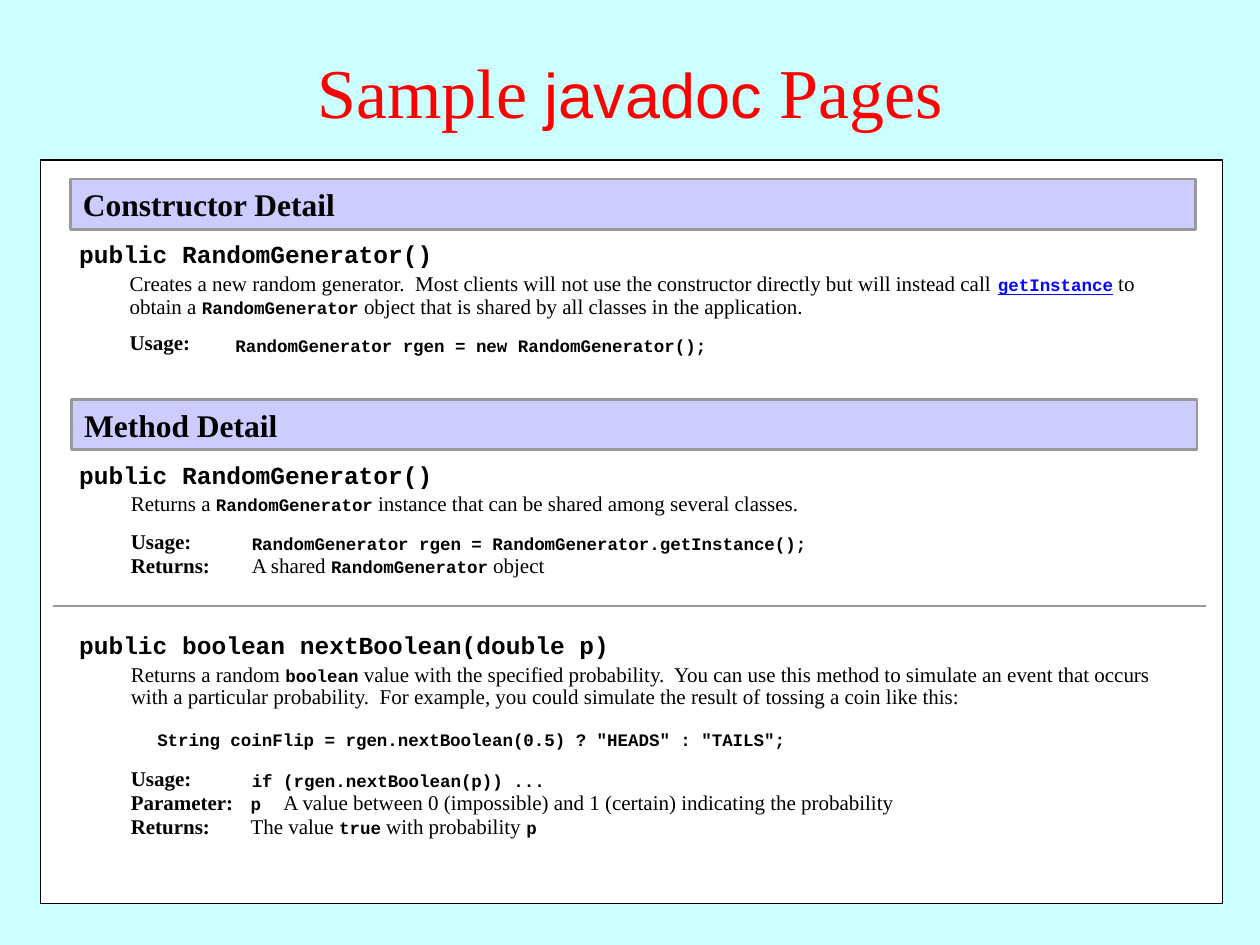
"""Build a slide showing sample javadoc pages for a random generator class."""
from dataclasses import dataclass

from pptx import Presentation
from pptx.dml.color import RGBColor
from pptx.enum.shapes import MSO_CONNECTOR, MSO_SHAPE
from pptx.enum.text import MSO_ANCHOR, PP_ALIGN
from pptx.oxml.ns import qn
from pptx.util import Inches, Pt
from lxml.etree import SubElement

SERIF, SANS, MONO = "Times New Roman", "Arial", "Courier New"
BLACK, WHITE, RED, BLUE = "000000", "FFFFFF", "FF0000", "0404FF"
GREY, LAVENDER, CYAN = "999999", "CCCCFF", "CCFFFF"


@dataclass
class Run:
    """A stretch of text in one format."""
    text: str
    size: float = 12
    font: str = SERIF
    color: str = BLACK
    bold: bool = False
    underline: bool = False


@dataclass
class Field:
    """A bold label with its value at the right."""
    label: str
    width: float
    top: float
    value: list[Run]
    value_left: float
    value_top: float
    value_width: float
    label_left: float = 0.94
    value_height: float = 0.28


def rgb(color: str) -> RGBColor:
    """Turn a hex string into a colour."""
    return RGBColor.from_string(color)


def code(text: str, **style) -> Run:
    """Make a small bold monospaced run."""
    return Run(text, size=10, font=MONO, bold=True, **style)


def add_runs(p, runs: list[Run], *, spacing: float = 1, before: float = 0,
             indent: float = 0, tab: float = 0, align=PP_ALIGN.LEFT) -> None:
    """Fill a paragraph with formatted runs."""
    p.alignment, p.line_spacing, p.space_before = align, spacing, Pt(before)
    pPr = p._p.get_or_add_pPr()
    if indent:
        pPr.set("marL", str(Inches(indent)))
    if tab:
        tabs = SubElement(pPr, qn("a:tabLst"))
        SubElement(tabs, qn("a:tab"), pos=str(Inches(tab)), algn="l")
    for run in runs:
        r = p.add_run()
        r.text = run.text
        r.font.size, r.font.name = Pt(run.size), run.font
        r.font.bold, r.font.underline = run.bold, run.underline
        r.font.color.rgb = rgb(run.color)


def add_text(s, runs: list[Run], left: float, top: float, width: float,
             height: float, *, wrap: bool = True, anchor=MSO_ANCHOR.TOP, **style):
    """Add a text box with one paragraph and return its text frame."""
    tf = s.shapes.add_textbox(*map(Inches, (left, top, width, height))).text_frame
    tf.word_wrap, tf.vertical_anchor = wrap, anchor
    add_runs(tf.paragraphs[0], runs, **style)
    return tf


def add_box(s, left: float, top: float, width: float, height: float,
            fill: str, line: str, weight: float):
    """Add a plain outlined rectangle."""
    sp = s.shapes.add_shape(MSO_SHAPE.RECTANGLE,
                            *map(Inches, (left, top, width, height)))
    sp.shadow.inherit = False
    sp.fill.solid()
    sp.fill.fore_color.rgb = rgb(fill)
    sp.line.color.rgb = rgb(line)
    sp.line.width = Pt(weight)
    return sp


def add_bar(s, text: str, left: float, top: float) -> None:
    """Add a section heading bar."""
    tf = add_box(s, left, top, 8.93, 0.4, LAVENDER, GREY, 1.5).text_frame
    tf.word_wrap, tf.vertical_anchor = True, MSO_ANCHOR.MIDDLE
    add_runs(tf.paragraphs[0], [Run(text, size=18, bold=True)])


def add_signature(s, text: str, top: float) -> None:
    """Add the signature line of a member."""
    add_text(s, [Run(text, size=14, font=MONO, bold=True)], 0.53, top, 7.51, 0.34)


def add_field(s, field: Field) -> None:
    """Add a label and its value."""
    add_text(s, [Run(field.label, bold=True)], field.label_left, field.top,
             field.width, 0.28, spacing=0.9)
    tab = 0.26 if any("\t" in run.text for run in field.value) else 0
    add_text(s, field.value, field.value_left, field.value_top,
             field.value_width, field.value_height, spacing=0.9, tab=tab)


def add_rule(s, left: float, right: float, y: float) -> None:
    """Add a horizontal rule between members."""
    line = s.shapes.add_connector(MSO_CONNECTOR.STRAIGHT,
                                  *map(Inches, (left, y, right, y)))
    line.line.color.rgb = rgb(GREY)
    line.line.width = Pt(1.5)
    SubElement(line._element.spPr, qn("a:effectLst"))


FIELDS = [
    Field("Usage:", 0.75, 2.59, [code("RandomGenerator rgen = new RandomGenerator();")],
          1.77, 2.63, 4, label_left=0.93, value_height=0.25),
    Field("Usage:", 0.75, 4.17,
          [code("RandomGenerator rgen = RandomGenerator.getInstance();")],
          1.9, 4.2, 4.65, value_height=0.25),
    Field("Returns:", 0.9, 4.36,
          [Run("A shared "), code("RandomGenerator"), Run(" object")], 1.9, 4.36, 2.6),
    Field("Usage:", 0.75, 6.05, [code("if (rgen.nextBoolean(p)) ...")],
          1.9, 6.08, 2.6, value_height=0.25),
    Field("Parameter:", 1.05, 6.24,
          [code("p"), Run("\tA value between 0 (impossible) and 1 (certain) "
                          "indicating the probability")], 1.89, 6.24, 5.35),
    Field("Returns:", 0.9, 6.43,
          [Run("The value "), code("true"), Run(" with probability "), code("p")],
          1.89, 6.43, 2.52),
]


def main() -> None:
    """Build and save the slide."""
    prs = Presentation()
    prs.slide_width, prs.slide_height = Inches(10), Inches(7.5)
    s = prs.slides.add_slide(prs.slide_layouts[6])
    s.background.fill.solid()
    s.background.fill.fore_color.rgb = rgb(CYAN)

    add_text(s, [Run("Sample ", size=40, color=RED),
                 Run("javadoc", size=36, font=SANS, color=RED),
                 Run(" Pages", size=40, color=RED)],
             0, 0.09, 10, 1.25, anchor=MSO_ANCHOR.MIDDLE, align=PP_ALIGN.CENTER)
    add_box(s, 0.32, 1.27, 9.38, 5.9, WHITE, BLACK, 0.75)
    add_bar(s, "Constructor Detail", 0.56, 1.42)
    add_bar(s, "Method Detail", 0.57, 3.17)

    add_signature(s, "public RandomGenerator()", 1.85)
    add_text(s, [Run("Creates a new random generator.  Most clients will not use the "
                     "constructor directly but will instead call "),
                 code("getInstance", color=BLUE, underline=True),
                 Run(" to obtain a "), code("RandomGenerator"),
                 Run(" object that is shared by all classes in the application.")],
             0.93, 2.12, 8.48, 0.46, spacing=0.9)

    add_signature(s, "public RandomGenerator()", 3.6)
    add_text(s, [Run("Returns a "), code("RandomGenerator"),
                 Run(" instance that can be shared among several classes.")],
             0.94, 3.87, 8.48, 0.28, spacing=0.9)
    add_rule(s, 0.42, 9.57, 4.81)

    add_signature(s, "public boolean nextBoolean(double p)", 4.95)
    tf = add_text(s, [Run("Returns a random "), code("boolean"),
                      Run(" value with the specified probability.  You can use this "
                          "method to simulate an event that occurs with a particular "
                          "probability.  For example, you could simulate the result "
                          "of tossing a coin like this:")],
                  0.94, 5.22, 8.48, 0.78, spacing=0.9)
    add_runs(tf.add_paragraph(),
             [code('String coinFlip = rgen.nextBoolean(0.5) ? "HEADS" : "TAILS";')],
             before=11, indent=0.21)

    for field in FIELDS:
        add_field(s, field)
    prs.save("out.pptx")


if __name__ == "__main__":
    main()
